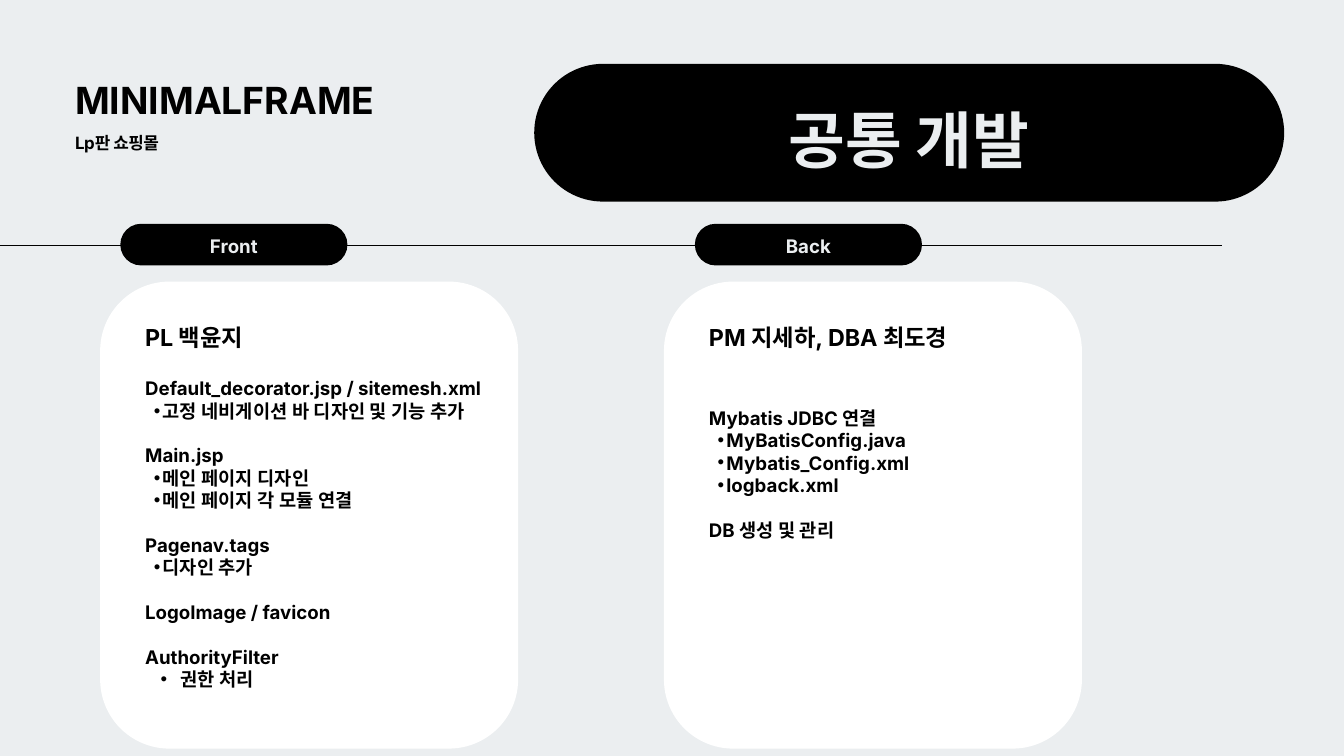
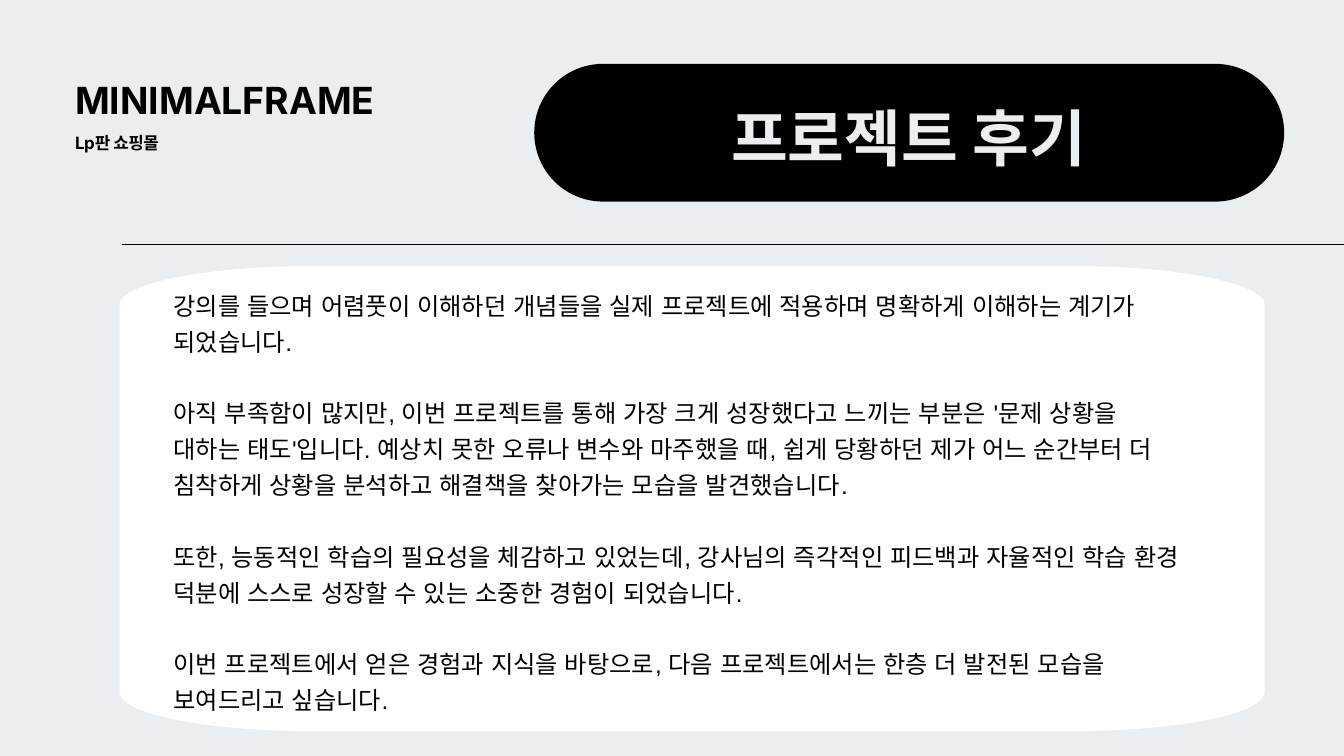
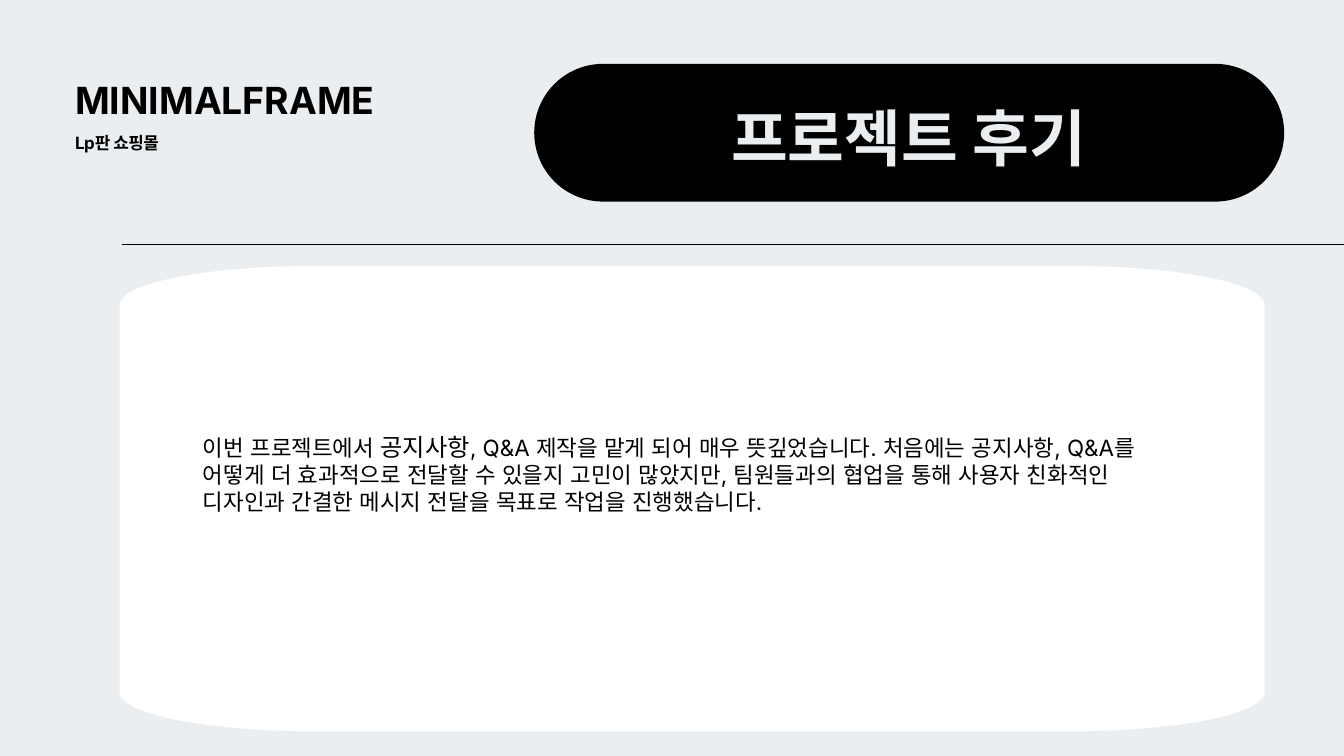
from dataclasses import dataclass
from math import cos, pi, sin

from lxml import etree
from pptx import Presentation
from pptx.dml.color import RGBColor
from pptx.enum.shapes import MSO_CONNECTOR, MSO_SHAPE
from pptx.enum.text import MSO_ANCHOR, MSO_AUTO_SIZE, PP_ALIGN
from pptx.oxml.ns import qn
from pptx.util import Inches, Pt

STRAIGHT = MSO_CONNECTOR.STRAIGHT
ROUNDED = MSO_SHAPE.ROUNDED_RECTANGLE
TOP, MIDDLE = MSO_ANCHOR.TOP, MSO_ANCHOR.MIDDLE
FIXED = MSO_AUTO_SIZE.NONE
LEFT, CENTER = PP_ALIGN.LEFT, PP_ALIGN.CENTER

WIDTH, HEIGHT, COLUMNS = 20, 11.25, 100
TWO_CONTENT, TITLE_CONTENT = 3, 1


@dataclass(frozen=True)
class Style:
    """Type style: size, line height, weight, colour, font, tracking, alignment."""
    size: float
    leading: float
    bold: bool = True
    color: str = "000000"
    font: str = "Inter"
    tracking: int = 0
    align: PP_ALIGN = LEFT


@dataclass(frozen=True)
class Theme:
    """Colours and type styles shared by the slides."""
    paper: str = "EBEEF0"
    ink: str = "000000"
    card: str = "FFFFFF"
    brand: Style = Style(40, 56)
    tagline: Style = Style(18.1, 21.8, tracking=-60)
    title: Style = Style(66.1, 92.6, color="EBEEF0", align=CENTER)
    korean_title: Style = Style(66.1, 92.6, color="EBEEF0", align=CENTER,
                                font="Noto Sans CJK SC")
    label: Style = Style(20, 28, color="EBEEF0", align=CENTER)
    heading: Style = Style(25, 30)
    task: Style = Style(20, 24)
    essay: Style = Style(26, 38.4, bold=False, font="Arial")
    note: Style = Style(24, 28.8, bold=False)


THEME = Theme()


@dataclass(frozen=True)
class Box:
    """Rectangle measured in grid columns; rows are as tall as columns are wide."""
    x: float
    y: float
    w: float
    h: float

    def inner(self, dx, dy, w, h):
        """Return a box placed relative to this one."""
        return Box(self.x + dx, self.y + dy, w, h)

    def emu(self):
        """Return left, top, width and height as lengths."""
        return [cell(v) for v in (self.x, self.y, self.w, self.h)]


def cell(count):
    """Convert grid columns to a length."""
    return Inches(count * WIDTH / COLUMNS)


PILL = Box(39.75, 4.75, 55.8, 10.25)
BRAND = Box(5.6, 5.2, 23.95, 3.7)
PANEL = Box(8.9, 19.8, 85.2, 34.6)
CARD = Box(7.45, 20.95, 31.1, 34.75)
CARD_STEP = 41.95


def paint(sp, color):
    """Give a shape a flat fill without line or shadow."""
    sp.shadow.inherit = False
    sp.fill.solid()
    sp.fill.fore_color.rgb = RGBColor.from_string(color)
    sp.line.fill.background()


def rounded(s, box, color, radius):
    """Add a flat rounded rectangle with a corner radius in columns."""
    sp = s.shapes.add_shape(ROUNDED, *box.emu())
    sp.adjustments[0] = radius / min(box.w, box.h)
    paint(sp, color)
    return sp


def format_run(r, style, size=None):
    """Apply a type style to a run."""
    r.font.size = Pt(size or style.size)
    r.font.bold = style.bold
    r.font.name = style.font
    r.font.color.rgb = RGBColor.from_string(style.color)
    rPr = r._r.get_or_add_rPr()
    rPr.find(qn("a:latin")).addnext(
        etree.Element(qn("a:ea"), typeface=style.font))
    if style.tracking:
        rPr.set("spc", str(style.tracking))


def format_paragraph(p, style, before=0, margin=0, indent=0, bullet=None):
    """Apply spacing, indents, bullet and run style to a paragraph."""
    pPr = p._p.get_or_add_pPr()
    pPr.set("marL", str(Inches(margin)))
    pPr.set("indent", str(Inches(indent)))
    if bullet:
        etree.SubElement(pPr, qn("a:buChar"), char=bullet)
    else:
        etree.SubElement(pPr, qn("a:buNone"))
    p.alignment = style.align
    p.line_spacing = Pt(style.leading)
    p.space_before = Pt(before)
    p.space_after = Pt(0)
    for r in p.runs:
        format_run(r, style)


def prepare(sp, anchor=TOP):
    """Clear the margins of a shape's text frame and return the frame."""
    tf = sp.text_frame
    tf.margin_left = tf.margin_right = tf.margin_top = tf.margin_bottom = 0
    tf.word_wrap = True
    tf.auto_size = FIXED
    tf.vertical_anchor = anchor
    return tf


def write(sp, text, style, anchor=TOP):
    """Write one styled paragraph into a shape."""
    tf = prepare(sp, anchor)
    tf.text = text
    format_paragraph(tf.paragraphs[0], style)


def textbox(s, box, text, style):
    """Add a text box with one styled paragraph."""
    write(s.shapes.add_textbox(*box.emu()), text, style)


def place(sp, box):
    """Move a placeholder to a box and bring it to the front."""
    sp.left, sp.top, sp.width, sp.height = box.emu()
    sp.element.getparent().append(sp.element)
    return sp


def rule(s, start, end, y):
    """Draw the thin horizontal rule under the header."""
    line = s.shapes.add_connector(STRAIGHT, cell(start), cell(y), cell(end), cell(y))
    line.line.color.rgb = RGBColor.from_string(THEME.ink)
    line.line.width = Pt(0.75)
    etree.SubElement(line.element.spPr, qn("a:effectLst"))


def header(s, title, style, drop):
    """Place the project name, tagline and title pill."""
    textbox(s, BRAND, "MINIMALFRAME", THEME.brand)
    textbox(s, BRAND.inner(0, 4.7, 20, 1.5), "Lp판 쇼핑몰", THEME.tagline)
    rounded(s, PILL, THEME.ink, PILL.h / 2)
    write(place(s.shapes.title, PILL.inner(3.25, drop, 49.25, 6.15)), title, style)


def task_list(sp, groups):
    """Fill a placeholder with task names and their bulleted details."""
    tf = prepare(sp)
    rows = []
    for name, details, margin, indent in groups:
        rows.append((name, dict(before=THEME.task.leading if rows else 0)))
        rows += [(d, dict(margin=margin, indent=indent, bullet="•")) for d in details]
    tf.text = "\n".join(text for text, _ in rows)
    for p, (_, options) in zip(tf.paragraphs, rows):
        p.level = 1 if "bullet" in options else 0
        format_paragraph(p, THEME.task, **options)


def role_card(s, box, body, label, label_dx, heading, list_dy, groups):
    """Draw a role's card, its label on the rule, its heading and its tasks."""
    rounded(s, box, THEME.card, 5.15)
    tab = box.inner(label_dx, -4.3, 16.9, 3.1)
    write(rounded(s, tab, THEME.ink, tab.h / 2), label, THEME.label, MIDDLE)
    textbox(s, box.inner(3.35, 3.1, 18.95, 2), heading, THEME.heading)
    task_list(place(body, box.inner(3.35, list_dy, 27.75, 23.55)), groups)


def panel(s, box, rx=14.2, ry=2.9, steps=24):
    """Draw a white panel with elliptical corners."""
    right, bottom = box.x + box.w, box.y + box.h
    centers = [(right - rx, bottom - ry), (box.x + rx, bottom - ry),
               (box.x + rx, box.y + ry), (right - rx, box.y + ry)]
    points = []
    for quarter, (cx, cy) in enumerate(centers):
        for step in range(steps + 1):
            angle = (quarter + step / steps) * pi / 2
            points.append((cell(cx + rx * cos(angle)), cell(cy + ry * sin(angle))))
    builder = s.shapes.build_freeform(*points[0])
    builder.add_line_segments(points[1:], close=True)
    paint(builder.convert_to_shape(), THEME.card)


def roles_slide(prs, title, roles):
    """Build the slide with one card per role."""
    s = prs.slides.add_slide(prs.slide_layouts[TWO_CONTENT])
    rule(s, 0, 90.95, 18.25)
    header(s, title, THEME.korean_title, 1.9)
    for i, role in enumerate(roles):
        box = CARD.inner(i * CARD_STEP, 0, CARD.w, CARD.h)
        role_card(s, box, s.placeholders[i + 1], *role)


def review_slide(prs, text_box):
    """Build a review slide and return it with its empty body frame."""
    s = prs.slides.add_slide(prs.slide_layouts[TITLE_CONTENT])
    panel(s, PANEL)
    rule(s, 9.05, COLUMNS, 18.2)
    header(s, "프로젝트 후기", THEME.title, 1.75)
    return prepare(place(s.placeholders[1], text_box))


def essay_slide(prs, paragraphs):
    """Build a review of several spaced paragraphs."""
    tf = review_slide(prs, PANEL.inner(4, 1.35, 75.7, 32))
    tf.text = "\n".join(paragraphs)
    for i, p in enumerate(tf.paragraphs):
        format_paragraph(p, THEME.essay, before=THEME.essay.leading if i else 0)


def note_slide(prs, parts):
    """Build a review of one paragraph made of differently sized parts."""
    tf = review_slide(prs, PANEL.inner(5.4, 12.5, 74.35, 6))
    p = tf.paragraphs[0]
    p.level = 1
    format_paragraph(p, THEME.note, margin=0.16)
    for text, size in parts:
        r = p.add_run()
        r.text = text
        format_run(r, THEME.note, size)


FRONT_TASKS = [
    ("Default_decorator.jsp / sitemesh.xml",
     ["고정 네비게이션 바 디자인 및 기능 추가"], 0.26, -0.13),
    ("Main.jsp", ["메인 페이지 디자인", "메인 페이지 각 모듈 연결"], 0.26, -0.13),
    ("Pagenav.tags", ["디자인 추가"], 0.26, -0.13),
    ("LogoImage / favicon", [], 0, 0),
    ("AuthorityFilter", ["권한 처리"], 0.53, -0.3),
]
BACK_TASKS = [
    ("Mybatis JDBC 연결",
     ["MyBatisConfig.java", "Mybatis_Config.xml", "logback.xml"], 0.26, -0.13),
    ("DB 생성 및 관리", [], 0, 0),
]
ROLES = [
    ("Front", 1.5, "PL 백윤지", 7.1, FRONT_TASKS),
    ("Back", 2.3, "PM 지세하, DBA 최도경", 9.3, BACK_TASKS),
]
ESSAY = [
    "강의를 들으며 어렴풋이 이해하던 개념들을 실제 프로젝트에 적용하며 명확하게 이해하는 계기가 "
    "되었습니다.",
    "아직 부족함이 많지만, 이번 프로젝트를 통해 가장 크게 성장했다고 느끼는 부분은 '문제 상황을 "
    "대하는 태도'입니다. 예상치 못한 오류나 변수와 마주했을 때, 쉽게 당황하던 제가 어느 순간부터 더 "
    "침착하게 상황을 분석하고 해결책을 찾아가는 모습을 발견했습니다.",
    "또한, 능동적인 학습의 필요성을 체감하고 있었는데, 강사님의 즉각적인 피드백과 자율적인 학습 환경 "
    "덕분에 스스로 성장할 수 있는 소중한 경험이 되었습니다.",
    "이번 프로젝트에서 얻은 경험과 지식을 바탕으로, 다음 프로젝트에서는 한층 더 발전된 모습을 "
    "보여드리고 싶습니다.",
]
NOTE = [
    ("이번 프로젝트에서 ", 24),
    ("공지사항", 26),
    (", Q&A 제작을 맡게 되어 매우 뜻깊었습니다. 처음에는 공지사항, Q&A를 어떻게 더 효과적으로 "
     "전달할 수 있을지 고민이 많았지만, 팀원들과의 협업을 통해 사용자 친화적인 디자인과 간결한 "
     "메시지 전달을 목표로 작업을 진행했습니다.", 24),
]


def main():
    """Build the deck and save it."""
    prs = Presentation()
    prs.slide_width, prs.slide_height = Inches(WIDTH), Inches(HEIGHT)
    fill = prs.slide_master.background.fill
    fill.solid()
    fill.fore_color.rgb = RGBColor.from_string(THEME.paper)
    roles_slide(prs, "공통 개발", ROLES)
    essay_slide(prs, ESSAY)
    note_slide(prs, NOTE)
    prs.save("out.pptx")


if __name__ == "__main__":
    main()
